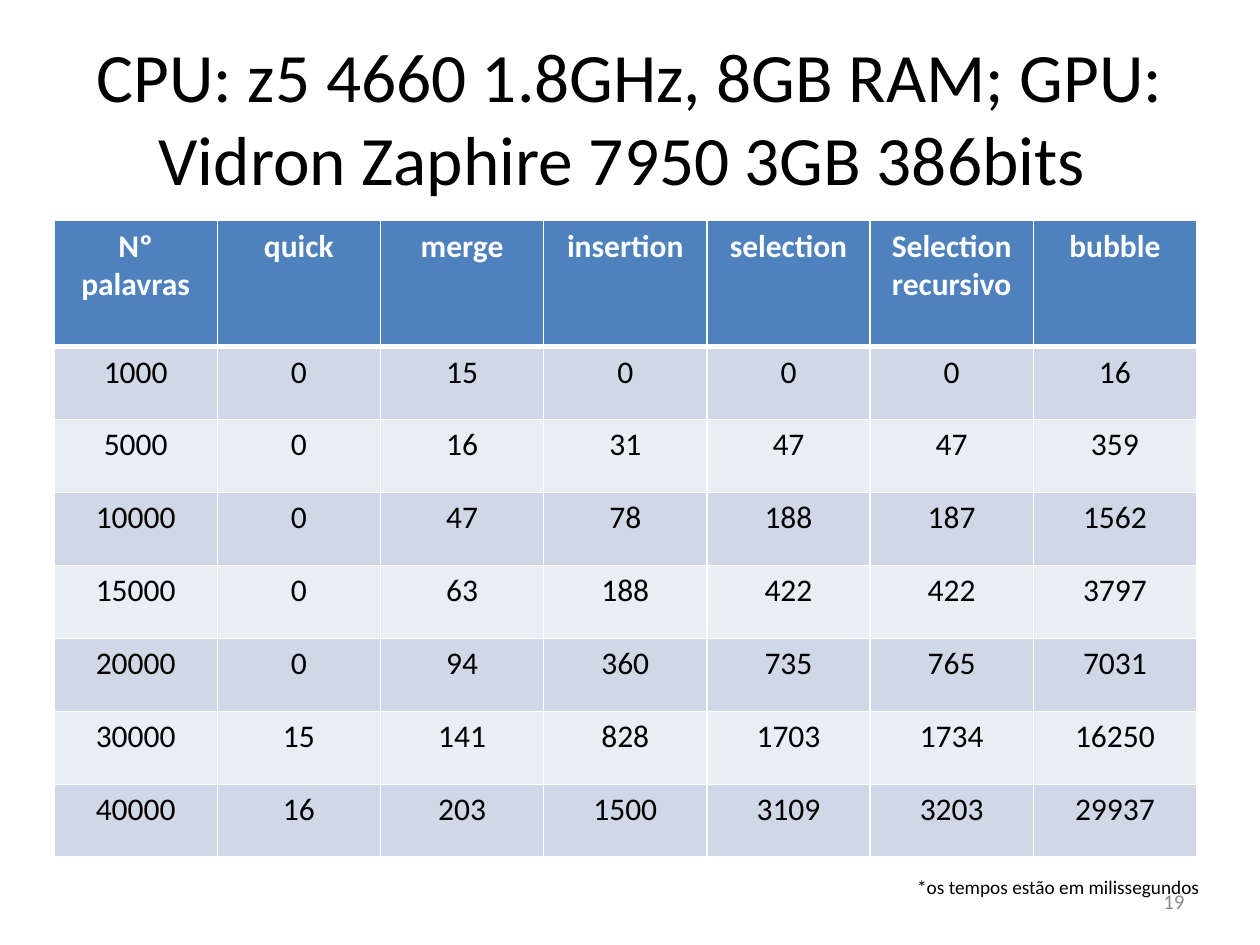
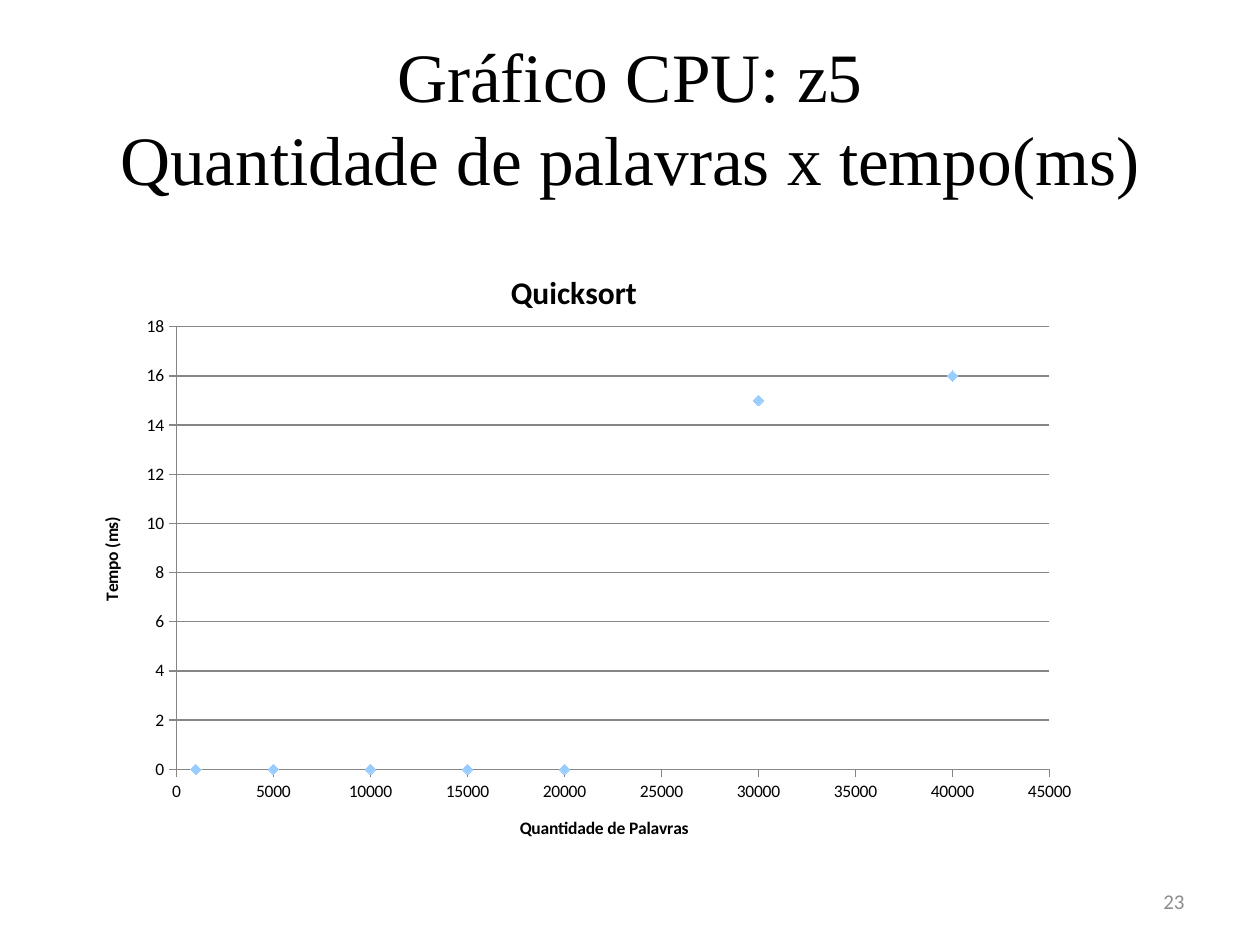
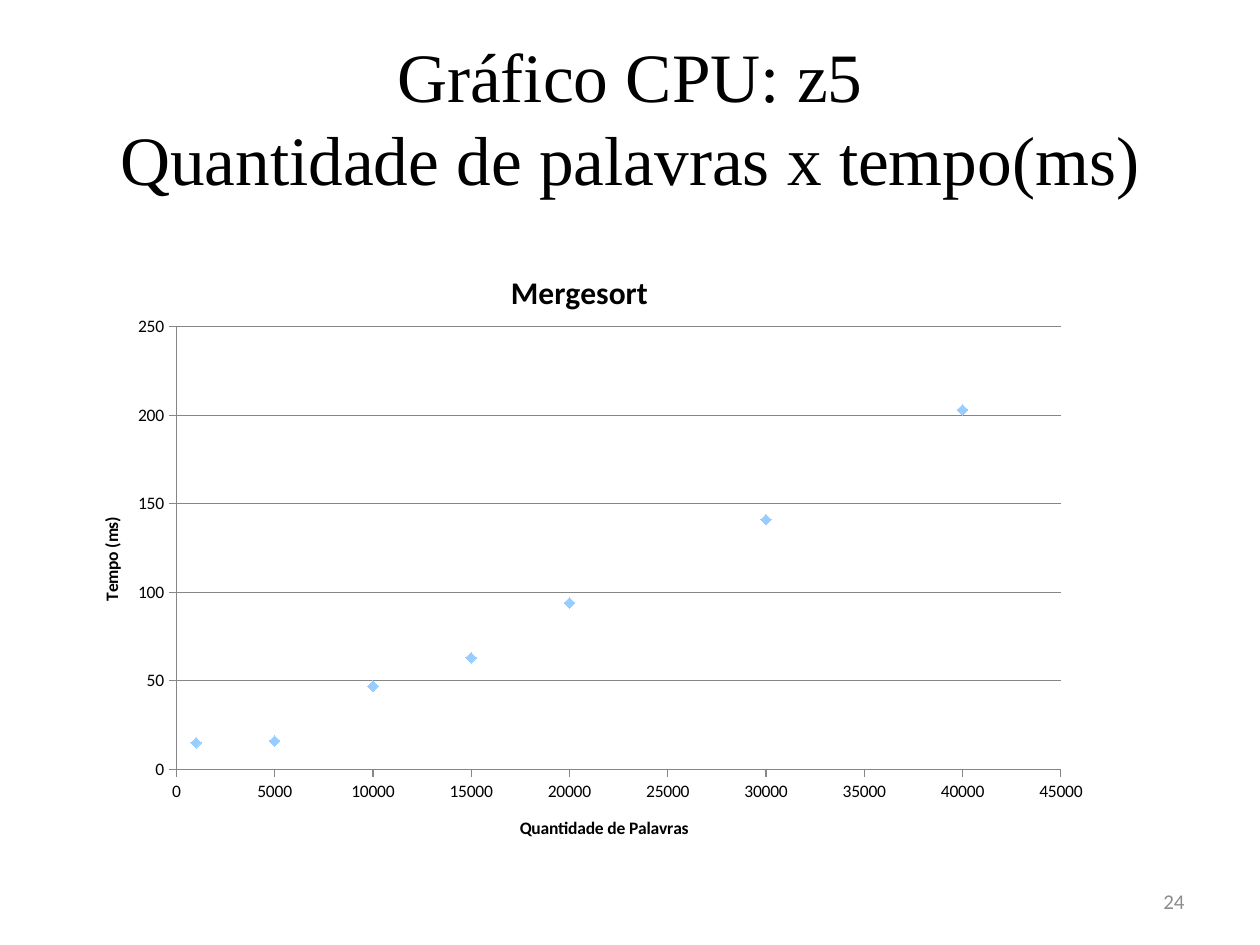
from lxml import etree
from pptx import Presentation
from pptx.chart.data import XyChartData
from pptx.dml.color import RGBColor
from pptx.enum.chart import XL_CHART_TYPE, XL_MARKER_STYLE, XL_TICK_MARK
from pptx.enum.text import MSO_ANCHOR, MSO_AUTO_SIZE, PP_ALIGN
from pptx.oxml.ns import qn
from pptx.util import Cm, Pt

SCATTER = XL_CHART_TYPE.XY_SCATTER
DIAMOND = XL_MARKER_STYLE.DIAMOND
TICK_OUT = XL_TICK_MARK.OUTSIDE
TICK_NONE = XL_TICK_MARK.NONE
MIDDLE = MSO_ANCHOR.MIDDLE
NO_FIT = MSO_AUTO_SIZE.NONE
LEFT, CENTER, RIGHT = PP_ALIGN.LEFT, PP_ALIGN.CENTER, PP_ALIGN.RIGHT

BLACK = RGBColor(0x00, 0x00, 0x00)
WHITE = RGBColor(0xFF, 0xFF, 0xFF)
GRAY = RGBColor(0x8C, 0x8C, 0x8C)
AXIS_GRAY = RGBColor(0x86, 0x86, 0x86)
HEADER_BLUE = RGBColor(0x4F, 0x81, 0xBD)
BANDS = (RGBColor(0xD0, 0xD8, 0xE8), RGBColor(0xE9, 0xED, 0xF4))
MARKER_BLUE = RGBColor(0x99, 0xCC, 0xFF)

SANS = "Calibri"
SERIF = "Times New Roman"

TITLE_BOX = (1.27, 0.76, 22.86, 3.18)
CHART_BOX = (1.27, 4.45, 22.86, 12.57)
NOTE_BOX = (18.24, 17.53, 6.22, 0.74)
NUMBER_BOX = (18.21, 17.65, 5.92, 1.02)
TABLE_LEFT, TABLE_TOP = 1.09, 4.45
COLUMN_WIDTH, HEADER_HEIGHT, ROW_HEIGHT = 3.29, 2.54, 1.47

TABLE_TITLE = ["CPU: z5 4660 1.8GHz, 8GB RAM; GPU: Vidron Zaphire 7950 3GB 386bits "]
CHART_TITLE = ["Gráfico CPU: z5", "Quantidade de palavras x tempo(ms)"]
NOTE = "*os tempos estão em milissegundos"
X_TITLE, Y_TITLE = "Quantidade de Palavras", "Tempo (ms)"

HEADER = ["Nº palavras", "quick", "merge", "insertion", "selection",
          "Selection\nrecursivo", "bubble"]
TIMES = [
    (1000, 0, 15, 0, 0, 0, 16),
    (5000, 0, 16, 31, 47, 47, 359),
    (10000, 0, 47, 78, 188, 187, 1562),
    (15000, 0, 63, 188, 422, 422, 3797),
    (20000, 0, 94, 360, 735, 765, 7031),
    (30000, 15, 141, 828, 1703, 1734, 16250),
    (40000, 16, 203, 1500, 3109, 3203, 29937),
]
CHARTS = [
    {"name": "Quicksort", "column": 1, "number": 23, "top": 18, "step": 2,
     "plot": (0.1, 0.17, 0.77, 0.71), "y_title": (0.03, 0.47)},
    {"name": "Mergesort", "column": 2, "number": 24, "top": 250, "step": 50,
     "plot": (0.1, 0.17, 0.78, 0.71), "y_title": (0.03, 0.47)},
]


def box(measures):
    return [Cm(m) for m in measures]


def add_run(p, text, size, color=BLACK, font=SANS, bold=False):
    r = p.add_run()
    r.text = text
    f = r.font
    f.name, f.size, f.bold = font, Pt(size), bold
    f.color.rgb = color


def add_slide(prs, title, font, number, note=None):
    s = prs.slides.add_slide(prs.slide_layouts[5])
    sp = s.shapes.title
    sp.left, sp.top, sp.width, sp.height = box(TITLE_BOX)
    tf = sp.text_frame
    tf.auto_size, tf.word_wrap, tf.vertical_anchor = NO_FIT, True, MIDDLE
    p = tf.paragraphs[0]
    p.alignment = CENTER
    for i, line in enumerate(title):
        if i:
            p.add_line_break()
        add_run(p, line, 39.6, font=font)
    if note:
        add_label(s, NOTE_BOX, note, 11, BLACK, LEFT, False)
    add_label(s, NUMBER_BOX, str(number), 12, GRAY, RIGHT, True)
    return s


def add_label(s, measures, text, size, color, align, wrap):
    tf = s.shapes.add_textbox(*box(measures)).text_frame
    tf.word_wrap = wrap
    if wrap:
        tf.vertical_anchor = MIDDLE
    p = tf.paragraphs[0]
    p.alignment = align
    add_run(p, text, size, color)


def set_borders(cell, top, bottom):
    tc_pr = cell._tc.get_or_add_tcPr()
    for i, (side, width) in enumerate((("L", 1), ("R", 1), ("T", top), ("B", bottom))):
        ln = etree.Element(qn(f"a:ln{side}"), w=str(Pt(width)))
        fill = etree.SubElement(ln, qn("a:solidFill"))
        etree.SubElement(fill, qn("a:srgbClr"), val=str(WHITE))
        tc_pr.insert(i, ln)


def add_times_table(s):
    rows = [HEADER] + TIMES
    height = HEADER_HEIGHT + ROW_HEIGHT * len(TIMES)
    table = s.shapes.add_table(
        len(rows), len(HEADER),
        *box((TABLE_LEFT, TABLE_TOP, COLUMN_WIDTH * len(HEADER), height))).table
    for column in table.columns:
        column.width = Cm(COLUMN_WIDTH)
    for i, values in enumerate(rows):
        is_header = i == 0
        table.rows[i].height = Cm(HEADER_HEIGHT if is_header else ROW_HEIGHT)
        for j, value in enumerate(values):
            cell = table.cell(i, j)
            cell.fill.solid()
            cell.fill.fore_color.rgb = HEADER_BLUE if is_header else BANDS[(i - 1) % 2]
            set_borders(cell, 3 if i == 1 else 1, 3 if is_header else 1)
            tf = cell.text_frame
            for k, line in enumerate(str(value).split("\n")):
                p = tf.add_paragraph() if k else tf.paragraphs[0]
                p.alignment = CENTER
                add_run(p, line, 18, WHITE if is_header else BLACK, bold=is_header)


def set_layout(element, index, **values):
    for old in element.findall(qn("c:layout")):
        element.remove(old)
    layout = etree.Element(qn("c:layout"))
    manual = etree.SubElement(layout, qn("c:manualLayout"))
    for key, value in values.items():
        etree.SubElement(manual, qn(f"c:{key}"), val=str(value))
    element.insert(index, layout)


def set_chart_text(title, text, size, x, y):
    add_run(title.text_frame.paragraphs[0], text, size, bold=True)
    set_layout(title._element, 1, xMode="edge", yMode="edge", x=x, y=y)


def format_axis(axis, top, step):
    axis.minimum_scale, axis.maximum_scale, axis.major_unit = 0, top, step
    axis.major_tick_mark, axis.minor_tick_mark = TICK_OUT, TICK_NONE
    axis.format.line.color.rgb = AXIS_GRAY
    axis.format.line.width = Pt(0.75)


def add_scatter(s, item):
    data = XyChartData()
    points = data.add_series("Series 1")
    for row in TIMES:
        points.add_data_point(row[0], row[item["column"]])
    chart = s.shapes.add_chart(SCATTER, *box(CHART_BOX), data).chart
    chart.has_legend = False
    chart.font.name, chart.font.size = SANS, Pt(10)
    chart.font.color.rgb = BLACK
    chart.has_title = True
    set_chart_text(chart.chart_title, item["name"], 18, 0.39, 0.07)
    chart.chart_title.include_in_layout = True

    x_axis, y_axis = chart.category_axis, chart.value_axis
    format_axis(x_axis, 45000, 5000)
    format_axis(y_axis, item["top"], item["step"])
    x_axis.has_major_gridlines = False
    y_axis.has_major_gridlines = True
    grid = y_axis.major_gridlines.format.line
    grid.color.rgb, grid.width = AXIS_GRAY, Pt(0.75)
    set_chart_text(x_axis.axis_title, X_TITLE, 10, 0.4, 0.95)
    set_chart_text(y_axis.axis_title, Y_TITLE, 10, *item["y_title"])

    x, y, w, h = item["plot"]
    plot_area = chart._chartSpace.find(".//" + qn("c:plotArea"))
    set_layout(plot_area, 0, layoutTarget="inner", xMode="edge", yMode="edge",
               x=x, y=y, w=w, h=h)
    plot = chart.plots[0]
    plot.vary_by_categories = False
    series = plot.series[0]
    series.smooth = False
    series.format.line.fill.background()
    marker = series.marker
    marker.style, marker.size = DIAMOND, 6
    marker.format.fill.solid()
    marker.format.fill.fore_color.rgb = MARKER_BLUE
    marker.format.line.color.rgb = MARKER_BLUE


def main():
    prs = Presentation()
    prs.slide_width, prs.slide_height = Cm(25.4), Cm(19.05)
    add_times_table(add_slide(prs, TABLE_TITLE, SANS, 19, NOTE))
    for item in CHARTS:
        add_scatter(add_slide(prs, CHART_TITLE, SERIF, item["number"]), item)
    prs.save("out.pptx")


if __name__ == "__main__":
    main()
